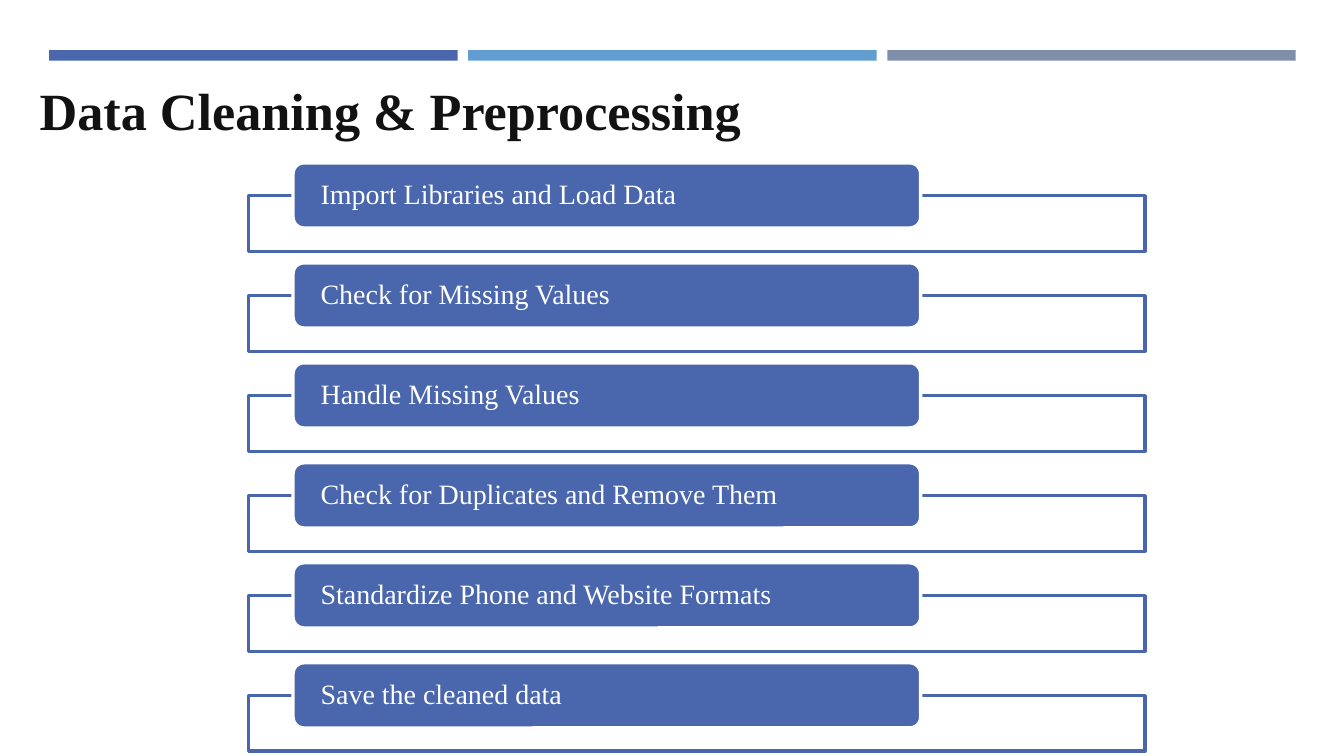
from pptx import Presentation
from pptx.dml.color import RGBColor as Color
from pptx.enum.shapes import MSO_SHAPE as Shape
from pptx.enum.text import MSO_ANCHOR as Anchor, PP_ALIGN as Align
from pptx.util import Cm, Pt

COLORS = {
    "blue": "4A66AC",
    "sky": "629DD1",
    "slate": "7F8FA9",
    "ink": "121212",
    "white": "FFFFFF",
}
STEPS = [
    "Import Libraries and Load Data",
    "Check for Missing Values",
    "Handle Missing Values",
    "Check for Duplicates and Remove Them",
    "Standardize Phone and Website Formats",
    "Save the cleaned data",
]


def apply(target, values):
    for name, value in values.items():
        setattr(target, name, value)


class Page:
    font = "Times New Roman"
    line_width = Pt(1.75)
    title_frame = {"vertical_anchor": Anchor.TOP, "word_wrap": True,
                   "margin_left": Cm(0.25), "margin_right": Cm(0.25),
                   "margin_top": Cm(0.13), "margin_bottom": Cm(0.13)}
    step_frame = {"vertical_anchor": Anchor.MIDDLE, "word_wrap": True,
                  "margin_left": Cm(0.46), "margin_right": Cm(0.46),
                  "margin_top": 0, "margin_bottom": 0}
    title_para = {"alignment": Align.LEFT, "line_spacing": 1.0}
    step_para = {"alignment": Align.LEFT, "line_spacing": 0.9}

    def __init__(self, deck):
        self.slide = deck.slides.add_slide(deck.slide_layouts[5])

    def color(self, name):
        return Color.from_string(COLORS[name])

    def label(self, box, text, frame, para_format, size, color, bold=False):
        apply(box.text_frame, frame)
        para = box.text_frame.paragraphs[0]
        apply(para, para_format)
        span = para.add_run()
        span.text = text
        apply(span.font, {"name": self.font, "size": Pt(size), "bold": bold})
        span.font.color.rgb = self.color(color)

    def title(self, text, left, top, width, height):
        box = self.slide.shapes.title
        apply(box, {"left": Cm(left), "top": Cm(top),
                    "width": Cm(width), "height": Cm(height)})
        self.label(box, text, self.title_frame, self.title_para, 28, "ink", True)

    def block(self, kind, left, top, width, height, fill, line=None):
        box = self.slide.shapes.add_shape(
            kind, Cm(left), Cm(top), Cm(width), Cm(height))
        box.shadow.inherit = False
        box.fill.solid()
        box.fill.fore_color.rgb = self.color(fill)
        if line:
            box.line.color.rgb = self.color(line)
            box.line.width = self.line_width
        else:
            box.line.fill.background()
        return box

    def step(self, text, top):
        self.block(Shape.RECTANGLE, 4.7, top + 0.62, 16.94, 1.05, "white", "blue")
        pill = self.block(Shape.ROUNDED_RECTANGLE, 5.54, top, 11.86, 1.23,
                          "blue", "white")
        self.label(pill, text, self.step_frame, self.step_para, 15, "white")


def main():
    deck = Presentation()
    apply(deck, {"slide_width": Cm(25.4), "slide_height": Cm(14.29)})
    page = Page(deck)

    # Top bars
    for index, fill in enumerate(("blue", "sky", "slate")):
        page.block(Shape.RECTANGLE, 0.93 + index * 7.92, 0.95, 7.72, 0.2, fill)

    # Heading
    page.title("Data Cleaning & Preprocessing", 0.5, 1.35, 20.32, 1.12)

    # Cleaning steps
    for index, text in enumerate(STEPS):
        page.step(text, 3.08 + index * 1.89)

    deck.save("out.pptx")


if __name__ == "__main__":
    main()
